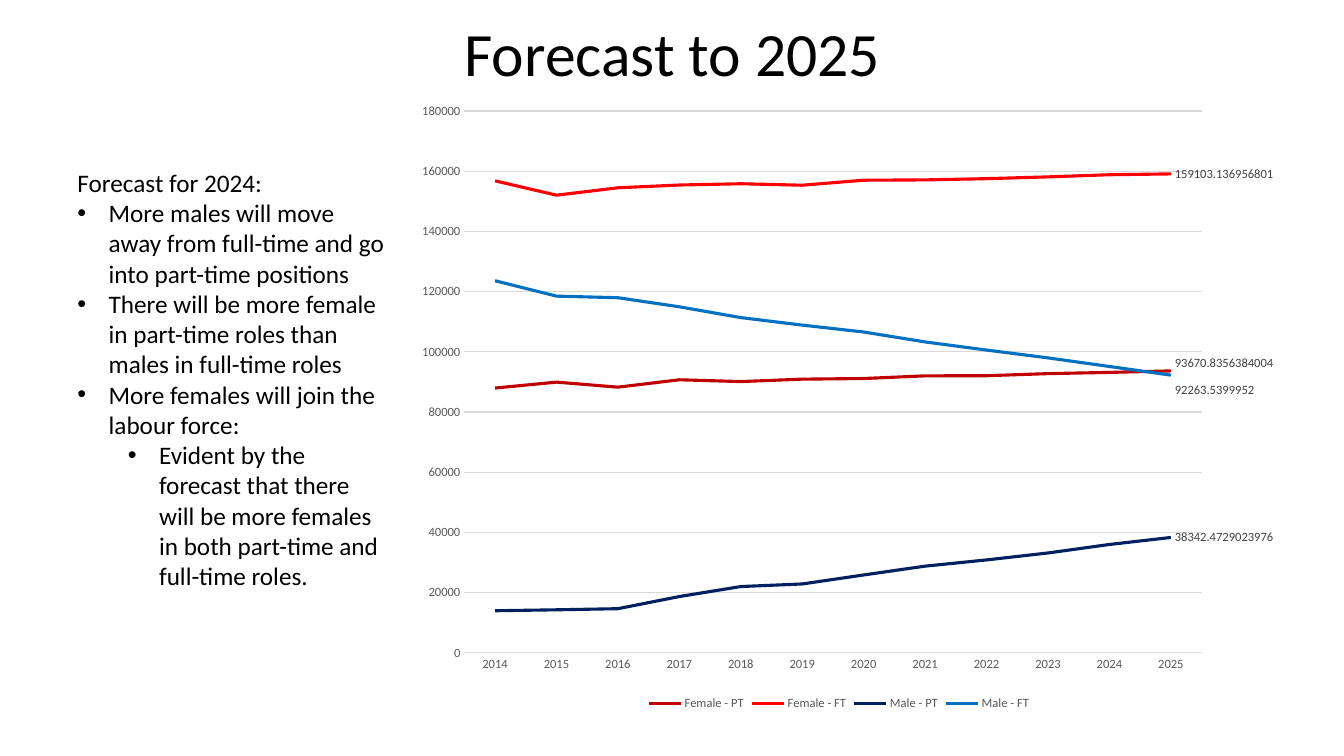
"""Build the slide with the employment forecast to 2025."""
from lxml import etree
from pptx import Presentation
from pptx import util as u
from pptx.chart.data import CategoryChartData
from pptx.dml.color import RGBColor
from pptx.enum import chart as kinds, text
from pptx.oxml.ns import qn

FONT = "Calibri"
BULLETS = [
    (0, "More males will move away from full-time and go into part-time positions"),
    (0, "There will be more female in part-time roles than males in full-time roles"),
    (0, "More females will join the labour force:"),
    (1, "Evident by the forecast that there will be more females in both "
        "part-time and full-time roles."),
]
YEARS = [str(year) for year in range(2014, 2026)]
SERIES = [
    ("Female - PT", "C00000", -0.013,
     [87983, 89943, 88264, 90721, 90126, 90926.6, 91144.88, 92026.7,
      92078.12, 92761.77, 93168.69, 93670.8356384004]),
    ("Female - FT", "FF0000", 0,
     [156793, 152038, 154489, 155408, 155833, 155347.2, 157011.76, 157113.21,
      157519.39, 158106.55, 158827.51, 159103.136956801]),
    ("Male - PT", "002060", 0,
     [13995, 14302, 14678, 18706, 22034, 22887.6, 25879.68, 28812.54,
      30881.6, 33185.12, 36008.4, 38342.4729023976]),
    ("Male - FT", "0070C0", 0.024,
     [123614, 118504, 117976, 114962, 111377, 108881.8, 106587.14, 103299.41,
      100586.96, 97997.72, 95140.11, 92263.5399952]),
]


def color(value):
    """Turn a hex string into a colour."""
    return RGBColor.from_string(value)


def set_font(font, size, value):
    """Set typeface, size and colour."""
    font.name = FONT
    font.size = u.Pt(size)
    font.color.rgb = color(value)


def set_line(line, value, width):
    """Set colour and width of a line."""
    line.color.rgb = color(value)
    line.width = u.Pt(width)


def add_box(page, left, top, width, height):
    """Add an empty wrapping text box and return its frame."""
    box = page.shapes.add_textbox(*map(u.Inches, (left, top, width, height)))
    box.text_frame.word_wrap = True
    return box.text_frame


def add_title(page, wording):
    """Add the centred slide title."""
    frame = add_box(page, 0.69, 0.21, 11.96, 0.7)
    frame.vertical_anchor = text.MSO_ANCHOR.MIDDLE
    frame.margin_left = frame.margin_right = u.Inches(0.13)
    frame.margin_top = frame.margin_bottom = u.Inches(0.13)
    para = frame.paragraphs[0]
    para.text = wording
    para.alignment = text.PP_ALIGN.CENTER
    para.line_spacing = 0.9
    set_font(para.font, 44, "000000")


def add_bullet(para, level):
    """Give a paragraph a bullet with a hanging indent."""
    para.level = level
    props = para._p.get_or_add_pPr()
    props.set("marL", str(u.Inches(0.31 + 0.5 * level)))
    props.set("indent", str(u.Inches(-0.31)))
    etree.SubElement(props, qn("a:buFont"), typeface="Arial")
    etree.SubElement(props, qn("a:buChar"), char="•")


def add_findings(page, heading, bullets):
    """Add the heading and its bulleted findings."""
    frame = add_box(page, 0.67, 1.61, 3.26, 4.34)
    frame.paragraphs[0].text = heading
    for level, wording in bullets:
        para = frame.add_paragraph()
        para.text = wording
        add_bullet(para, level)
    for para in frame.paragraphs:
        set_font(para.font, 18, "000000")


def make_layout(**settings):
    """Build a manual chart layout from its settings."""
    layout = etree.Element(qn("c:layout"))
    manual = etree.SubElement(layout, qn("c:manualLayout"))
    for name, value in settings.items():
        etree.SubElement(manual, qn("c:" + name), val=str(value))
    return layout


def place_plot(chart):
    """Fix the inner plot area, leaving room for the end labels."""
    area = chart._chartSpace.chart.plotArea
    for old in area.findall(qn("c:layout")):
        area.remove(old)
    area.insert(0, make_layout(layoutTarget="inner", xMode="edge", yMode="edge",
                               x=0.064, y=0.031, w=0.858, h=0.87))


def style_series(series, value, shift):
    """Colour a line and label its last point, moved down by shift."""
    series.smooth = False
    series.marker.style = kinds.XL_MARKER_STYLE.NONE
    set_line(series.format.line, value, 2.25)
    series.data_labels.show_value = False
    last = len(YEARS) - 1
    label = series.points[last].data_label
    set_font(label.font, 9, "404040")
    label.position = kinds.XL_LABEL_POSITION.RIGHT
    if shift:
        entry = series.data_labels._element.find(qn("c:dLbl"))
        entry.insert(1, make_layout(x=0, y=shift))


def style_axes(chart):
    """Style both axes and the gridlines."""
    for axis in (chart.category_axis, chart.value_axis):
        axis.major_tick_mark = axis.minor_tick_mark = kinds.XL_TICK_MARK.NONE
        set_font(axis.tick_labels.font, 9, "595959")
    set_line(chart.category_axis.format.line, "D9D9D9", 0.75)
    values = chart.value_axis
    values.minimum_scale, values.maximum_scale = 0, 180000
    values.major_unit = 20000
    values.format.line.fill.background()
    set_line(values.major_gridlines.format.line, "D9D9D9", 0.75)


def add_forecast(page):
    """Add the line chart of the four groups."""
    data = CategoryChartData(number_format="General")
    data.categories = YEARS
    for name, _, _, values in SERIES:
        data.add_series(name, values)
    chart = page.shapes.add_chart(
        kinds.XL_CHART_TYPE.LINE, *map(u.Inches, (4.06, 0.91, 8.57, 6.18)), data).chart
    set_font(chart.font, 10, "000000")
    chart.has_title = False
    chart.has_legend = True
    chart.legend.position = kinds.XL_LEGEND_POSITION.BOTTOM
    chart.legend.include_in_layout = False
    set_font(chart.legend.font, 9, "595959")
    chart.plots[0].vary_by_categories = False
    style_axes(chart)
    place_plot(chart)
    for series, (_, value, shift, _) in zip(chart.plots[0].series, SERIES):
        style_series(series, value, shift)


def main():
    """Build and save the deck."""
    deck = Presentation()
    deck.slide_width, deck.slide_height = u.Inches(13.33), u.Inches(7.5)
    page = deck.slides.add_slide(deck.slide_layouts[6])
    add_title(page, "Forecast to 2025")
    add_findings(page, "Forecast for 2024:", BULLETS)
    add_forecast(page)
    deck.save("out.pptx")


main()
